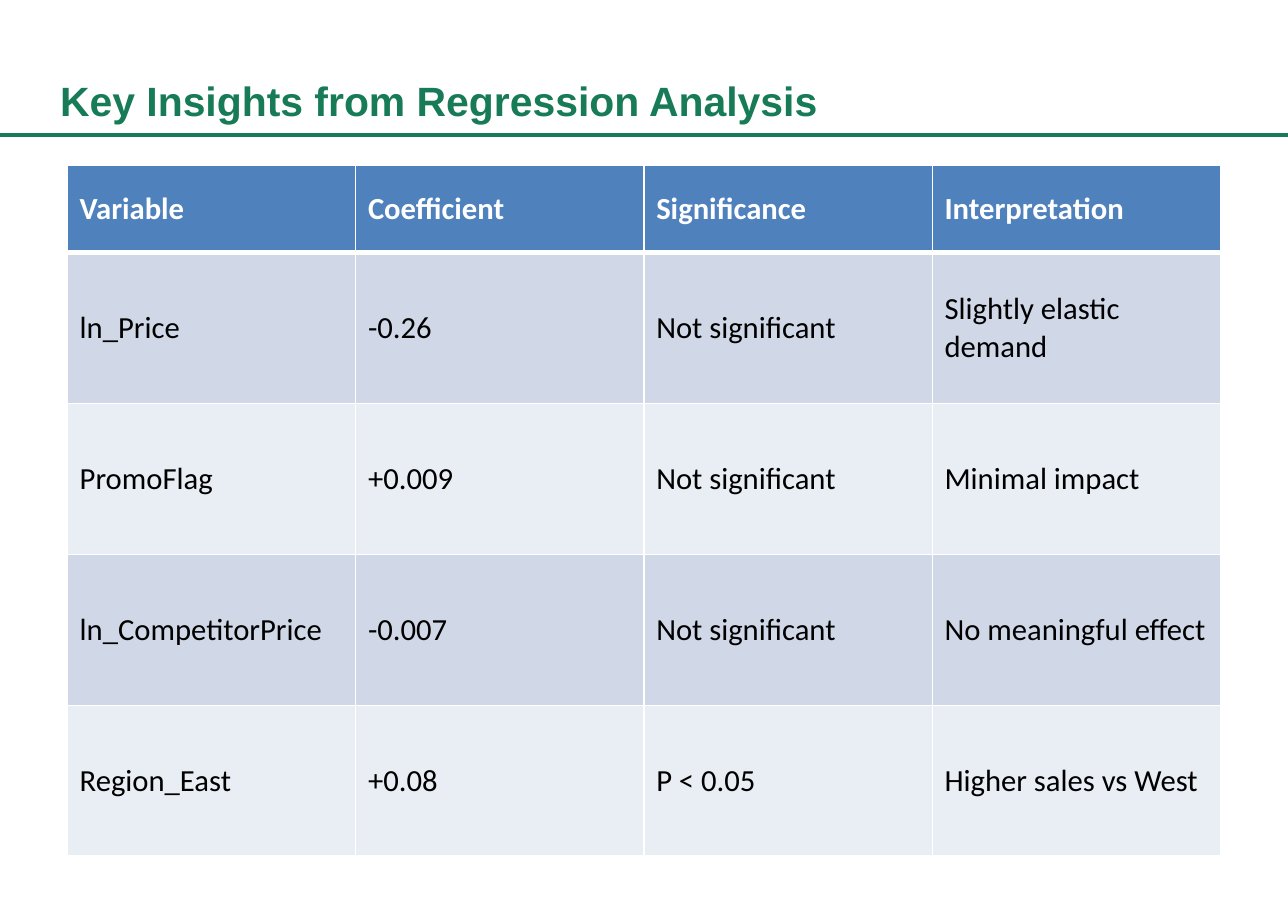
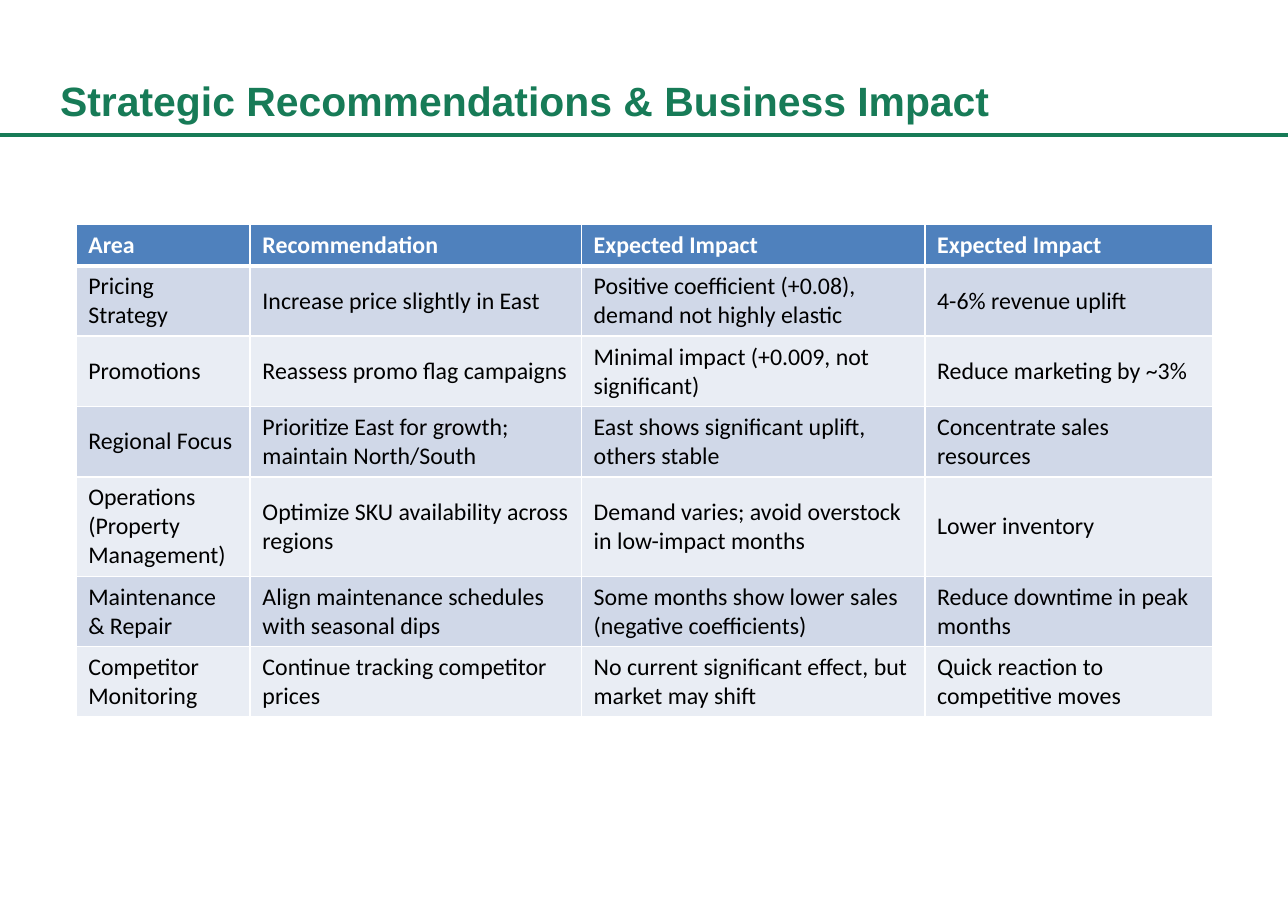
from dataclasses import dataclass

from lxml.etree import SubElement
from pptx import Presentation
from pptx.dml.color import RGBColor
from pptx.enum.shapes import MSO_CONNECTOR
from pptx.enum.text import MSO_ANCHOR, MSO_AUTO_SIZE, PP_ALIGN
from pptx.oxml.ns import qn
from pptx.util import Inches, Pt


@dataclass(frozen=True)
class Theme:
    green: str = "177B57"
    header: str = "4F81BD"
    bands: tuple = ("D0D8E8", "E9EDF4")
    white: str = "FFFFFF"
    black: str = "000000"
    title_font: str = "Arial"
    table_font: str = "Calibri"
    title_size: float = 24
    rule_width: float = 2.25
    border: float = 1
    header_border: float = 3


THEME = Theme()
SLIDE_W, SLIDE_H = 10.5, 7.5
RULE_Y = 1.1

SLIDES = [
    {
        "title": "Key Insights from Regression Analysis",
        "at": (0.55, 1.35),
        "cols": [2.35] * 4,
        "row_heights": [0.71] + [1.23] * 4,
        "size": 18,
        "rows": [
            ("Variable", "Coefficient", "Significance", "Interpretation"),
            ("ln_Price", "-0.26", "Not significant", "Slightly elastic demand"),
            ("PromoFlag", "+0.009", "Not significant", "Minimal impact"),
            ("ln_CompetitorPrice", "-0.007", "Not significant", "No meaningful effect"),
            ("Region_East", "+0.08", "P < 0.05", "Higher sales vs West"),
        ],
    },
    {
        "title": "Strategic Recommendations & Business Impact",
        "at": (0.62, 1.83),
        "cols": [1.42, 2.7, 2.8, 2.35],
        "row_heights": [0.33] + [0.57] * 3 + [0.8] + [0.57] * 2,
        "size": 14,
        "rows": [
            ("Area", "Recommendation", "Expected Impact", "Expected Impact"),
            ("Pricing Strategy", "Increase price slightly in East",
             "Positive coefficient (+0.08), demand not highly elastic",
             "4-6% revenue uplift"),
            ("Promotions", "Reassess promo flag campaigns",
             "Minimal impact (+0.009, not significant)",
             "Reduce marketing by ~3%"),
            ("Regional Focus", "Prioritize East for growth; maintain North/South",
             "East shows significant uplift, others stable",
             "Concentrate sales resources"),
            ("Operations (Property Management)",
             "Optimize SKU availability across regions",
             "Demand varies; avoid overstock in low-impact months",
             "Lower inventory"),
            ("Maintenance & Repair", "Align maintenance schedules with seasonal dips",
             "Some months show lower sales (negative coefficients)",
             "Reduce downtime in peak months"),
            ("Competitor Monitoring", "Continue tracking competitor prices",
             "No current significant effect, but market may shift",
             "Quick reaction to competitive moves"),
        ],
    },
]


def rgb(value):
    return RGBColor.from_string(value)


def set_font(p, name, size, color, bold):
    p.font.name, p.font.size, p.font.bold = name, Pt(size), bold
    p.font.color.rgb = rgb(color)


def add_rule(s):
    line = s.shapes.add_connector(MSO_CONNECTOR.STRAIGHT, 0, Inches(RULE_Y),
                                  Inches(SLIDE_W), Inches(RULE_Y))
    line.line.color.rgb = rgb(THEME.green)
    line.line.width = Pt(THEME.rule_width)
    SubElement(line.element.spPr, qn("a:effectLst"))


def format_title(title, text):
    title.left, title.top = Inches(0.49), Inches(0.21)
    title.width, title.height = Inches(9.53), Inches(0.83)
    tf = title.text_frame
    tf.text = text
    tf.margin_left = tf.margin_right = tf.margin_bottom = 0
    tf.margin_top = Inches(0.41)
    tf.vertical_anchor = MSO_ANCHOR.TOP
    tf.auto_size = MSO_AUTO_SIZE.NONE
    p = tf.paragraphs[0]
    p.alignment, p.space_before = PP_ALIGN.LEFT, Pt(1)
    set_font(p, THEME.title_font, THEME.title_size, THEME.green, True)


def set_borders(cell, row):
    # The thick line is shared by the header and the first body row
    widths = {"L": THEME.border, "R": THEME.border,
              "T": THEME.header_border if row == 1 else THEME.border,
              "B": THEME.header_border if row == 0 else THEME.border}
    tc_pr = cell._tc.get_or_add_tcPr()
    for side, width in widths.items():
        ln = SubElement(tc_pr, qn(f"a:ln{side}"), w=str(Pt(width)))
        fill = SubElement(ln, qn("a:solidFill"))
        SubElement(fill, qn("a:srgbClr"), val=THEME.white)


def format_cell(cell, text, row, size):
    is_header = row == 0
    set_borders(cell, row)
    cell.fill.solid()
    cell.fill.fore_color.rgb = rgb(THEME.header if is_header
                                   else THEME.bands[(row - 1) % 2])
    cell.vertical_anchor = MSO_ANCHOR.MIDDLE
    cell.text = text
    set_font(cell.text_frame.paragraphs[0], THEME.table_font, size,
             THEME.white if is_header else THEME.black, is_header)


def add_data_table(s, content):
    rows, cols, heights = content["rows"], content["cols"], content["row_heights"]
    left, top = content["at"]
    table = s.shapes.add_table(len(rows), len(cols), Inches(left), Inches(top),
                               Inches(sum(cols)), Inches(sum(heights))).table
    for column, width in zip(table.columns, cols):
        column.width = Inches(width)
    for i, (values, height) in enumerate(zip(rows, heights)):
        table.rows[i].height = Inches(height)
        for j, text in enumerate(values):
            format_cell(table.cell(i, j), text, i, content["size"])


def main():
    prs = Presentation()
    prs.slide_width, prs.slide_height = Inches(SLIDE_W), Inches(SLIDE_H)
    title_only = prs.slide_layouts[5]
    for content in SLIDES:
        s = prs.slides.add_slide(title_only)
        add_rule(s)
        format_title(s.shapes.title, content["title"])
        add_data_table(s, content)
    prs.save("out.pptx")


if __name__ == "__main__":
    main()
